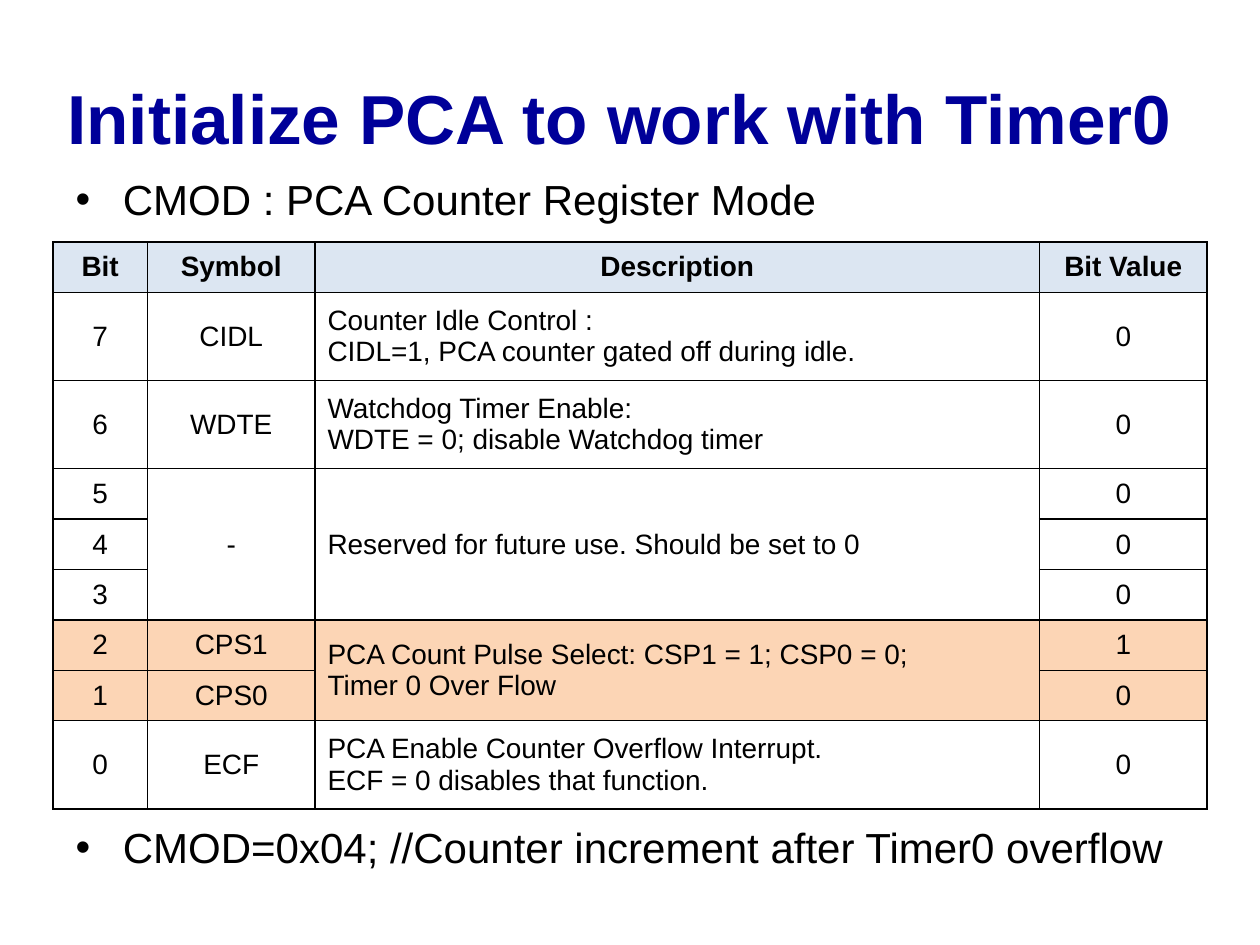
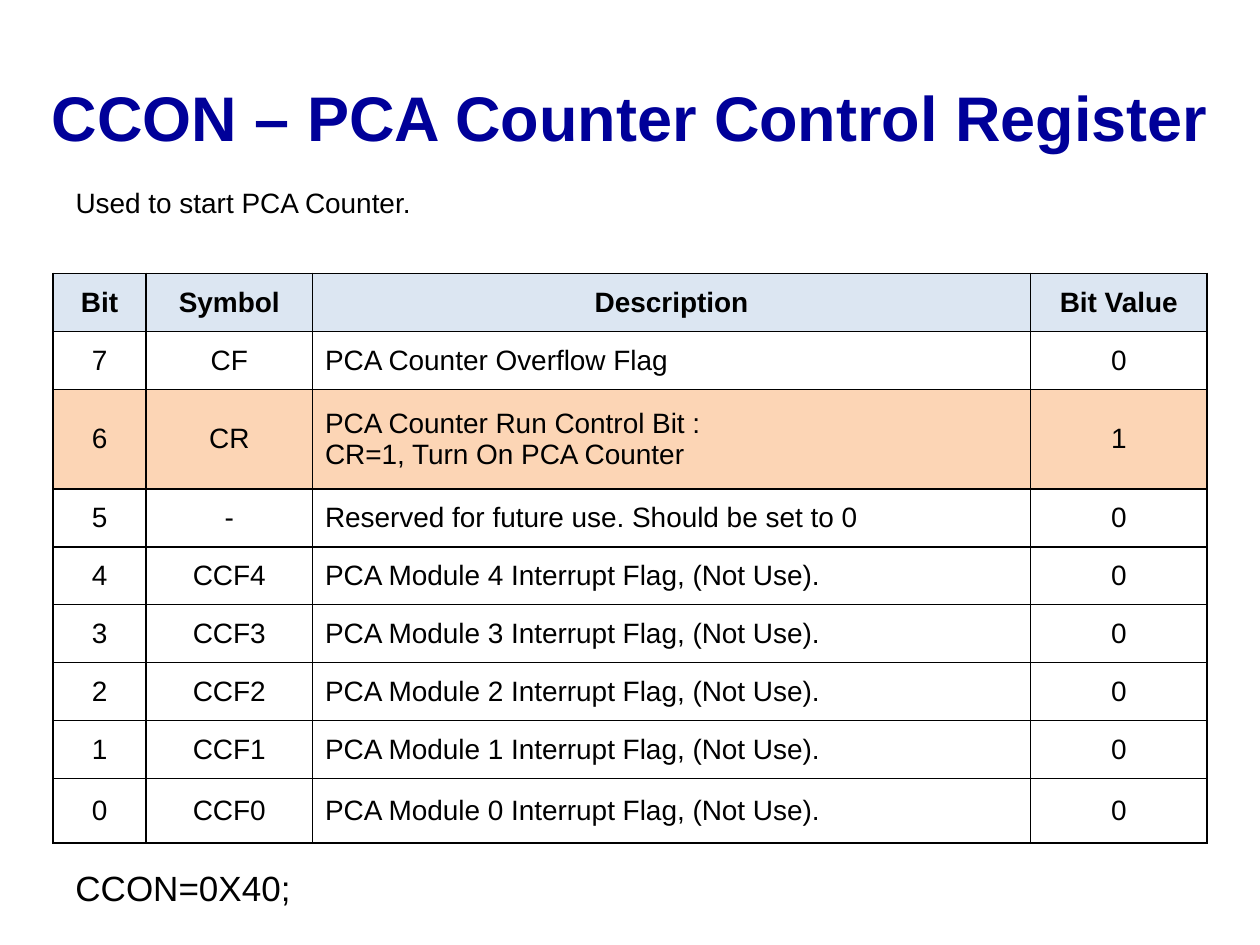
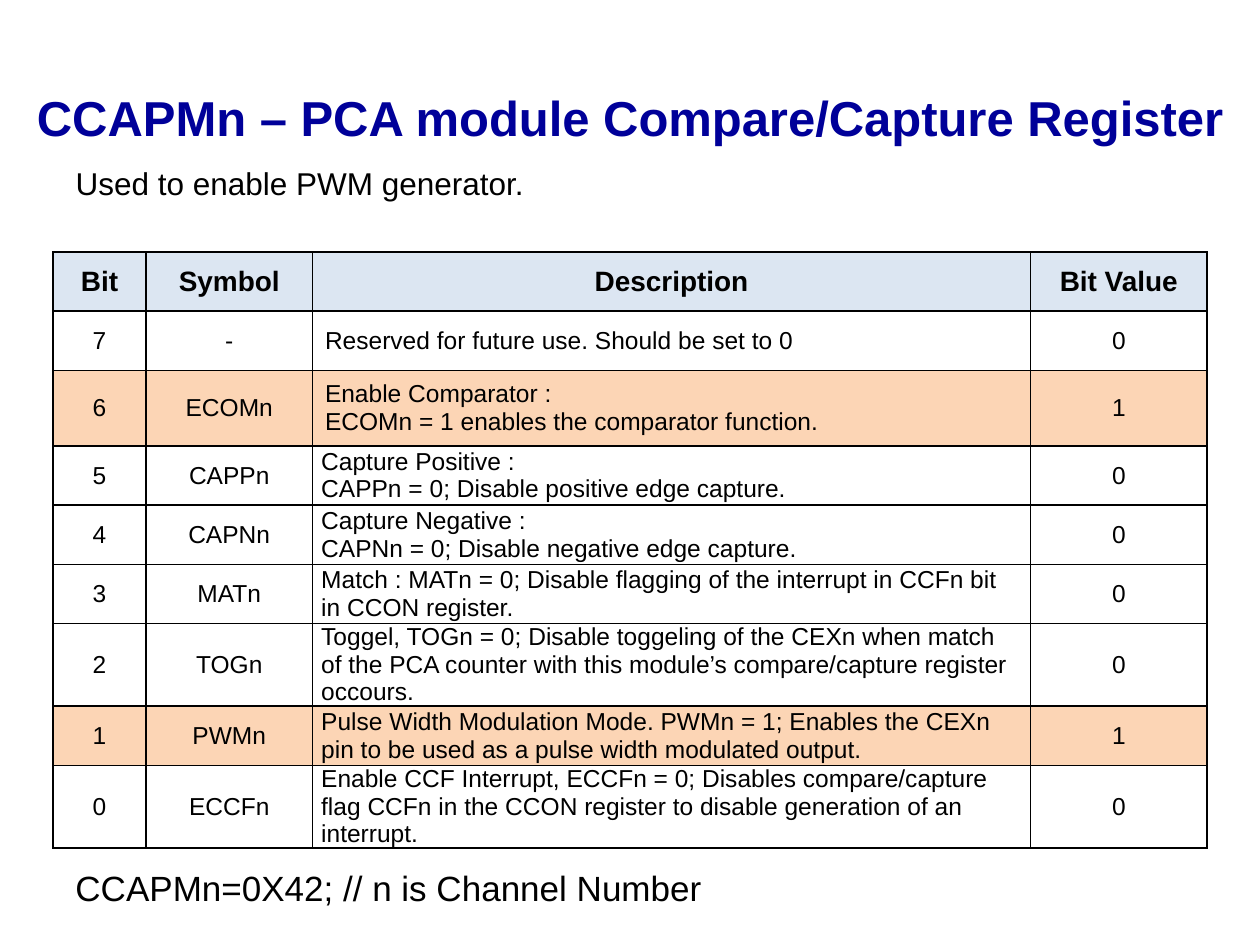
import dataclasses

import pptx
import pptx.dml.color
import pptx.enum.text
import pptx.oxml.ns
import pptx.util
from lxml import etree

Inches = pptx.util.Inches
Pt = pptx.util.Pt
CENTER = pptx.enum.text.PP_ALIGN.CENTER
LEFT = pptx.enum.text.PP_ALIGN.LEFT
MIDDLE = pptx.enum.text.MSO_ANCHOR.MIDDLE
qn = pptx.oxml.ns.qn


@dataclasses.dataclass(frozen=True)
class Theme:
    font: str = "Arial"
    title: str = "000099"
    text: str = "000000"
    header: str = "DCE6F2"
    highlight: str = "FCD5B5"
    bullet_size: float = 24
    code_size: float = 20
    table_size: float = 16
    small_table_size: float = 14
    border_width: float = 1


THEME = Theme()
HEADINGS = ("Bit", "Symbol", "Description", "Bit Value")
RESERVED = "Reserved for future use. Should be set to 0"
TABLE_LEFT = 0.42
CONTROL_COLUMNS = (0.74, 1.32, 5.7, 1.4)

# Register rows: bit, symbol, description, value; None continues the cell above
CMOD_ROWS = [
    ("7", "CIDL", "Counter Idle Control :\nCIDL=1, PCA counter gated off during idle.", "0"),
    ("6", "WDTE", "Watchdog Timer Enable:\nWDTE = 0; disable Watchdog timer", "0"),
    ("5", "-", RESERVED, "0"),
    ("4", None, None, "0"),
    ("3", None, None, "0"),
    ("2", "CPS1", "PCA Count Pulse Select: CSP1 = 1; CSP0 = 0;\nTimer 0 Over Flow", "1"),
    ("1", "CPS0", None, "0"),
    ("0", "ECF", "PCA Enable Counter Overflow Interrupt.\nECF = 0 disables that function.", "0"),
]
CCON_ROWS = [
    ("7", "CF", "PCA Counter Overflow Flag", "0"),
    ("6", "CR", "PCA Counter Run Control Bit :\nCR=1, Turn On PCA Counter", "1"),
    ("5", "-", RESERVED, "0"),
] + [
    (str(bit), f"CCF{bit}", f"PCA Module {bit} Interrupt Flag, (Not Use).", "0")
    for bit in range(4, -1, -1)
]
CCAPM_ROWS = [
    ("7", "-", RESERVED, "0"),
    ("6", "ECOMn", "Enable Comparator :\nECOMn = 1 enables the comparator function.", "1"),
    ("5", "CAPPn", "Capture Positive :\nCAPPn = 0; Disable positive edge capture.", "0"),
    ("4", "CAPNn", "Capture Negative :\nCAPNn = 0; Disable negative edge capture.", "0"),
    ("3", "MATn", "Match : MATn = 0; Disable flagging of the interrupt in CCFn bit "
     "in CCON register.", "0"),
    ("2", "TOGn", "Toggel, TOGn = 0; Disable toggeling of the CEXn when match of the PCA "
     "counter with this module\u2019s compare/capture register occours.", "0"),
    ("1", "PWMn", "Pulse Width Modulation Mode. PWMn = 1; Enables the CEXn pin to be used "
     "as a pulse width modulated output.", "1"),
    ("0", "ECCFn", "Enable CCF Interrupt, ECCFn = 0; Disables compare/capture flag CCFn in "
     "the CCON register to disable generation of an interrupt.", "0"),
]


def rgb(value):
    return pptx.dml.color.RGBColor.from_string(value)


def place(shape, left, top, width, height):
    shape.left, shape.top = Inches(left), Inches(top)
    shape.width, shape.height = Inches(width), Inches(height)


def style_text(frame, size, color=THEME.text, bold=False, align=LEFT):
    for para in frame.paragraphs:
        para.alignment = align
        para.font.name = THEME.font
        para.font.size = Pt(size)
        para.font.bold = bold
        para.font.color.rgb = rgb(color)


def add_page(deck, title, size, left, width):
    page = deck.slides.add_slide(deck.slide_layouts[1])
    box = page.shapes.title
    place(box, left, 0.3, width, 1.25)
    box.text_frame.text = title
    box.text_frame.auto_size = pptx.enum.text.MSO_AUTO_SIZE.NONE
    style_text(box.text_frame, size, THEME.title, True, CENTER)
    return page


def fill_body(page, text, size, top, width, height):
    box = page.placeholders[1]
    place(box, 0.5, top, width, height)
    box.text_frame.text = text
    box.text_frame.auto_size = pptx.enum.text.MSO_AUTO_SIZE.NONE
    style_text(box.text_frame, size)
    return box.text_frame.paragraphs


def add_intro(page, text, size, top):
    para = fill_body(page, text, size, top, 9.08, 0.92)[0]
    properties = para._p.get_or_add_pPr()
    properties.set("marL", "0")
    properties.set("indent", "0")
    etree.SubElement(properties, qn("a:buNone")) if properties.find(qn("a:defRPr")) is None \
        else properties.find(qn("a:defRPr")).addprevious(etree.Element(qn("a:buNone")))


def add_code_line(page, text):
    box = page.shapes.add_textbox(Inches(0.5), Inches(6.83), Inches(9.08), Inches(0.46))
    frame = box.text_frame
    frame.word_wrap = True
    frame.text = text
    frame.paragraphs[0].space_before = Pt(2.4)
    style_text(frame, THEME.code_size)


def add_borders(cell):
    properties = cell._tc.get_or_add_tcPr()
    for index, side in enumerate(("a:lnL", "a:lnR", "a:lnT", "a:lnB")):
        line = etree.Element(qn(side), w=str(Pt(THEME.border_width)))
        fill = etree.SubElement(line, qn("a:solidFill"))
        etree.SubElement(fill, qn("a:srgbClr"), val=THEME.text)
        properties.insert(index, line)


def add_register_table(page, top, height, columns, row_heights, rows, highlighted,
                       size=THEME.table_size, tight_from=None):
    """Draw a register; highlighted holds bits, tight_from the first row with slim margins."""
    frame = page.shapes.add_table(len(rows) + 1, len(columns), Inches(TABLE_LEFT),
                                  Inches(top), Inches(sum(columns)), Inches(height))
    table = frame.table
    table.first_row = table.horz_banding = False
    for column, width in zip(table.columns, columns):
        column.width = Inches(width)
    for row, row_height in zip(table.rows, row_heights):
        row.height = Inches(row_height)
    frame.height = Inches(height)

    starts = {}
    for r, values in enumerate([HEADINGS] + rows):
        header = r == 0
        for c, value in enumerate(values):
            cell = table.cell(r, c)
            add_borders(cell)
            if header or values[0] in highlighted:
                cell.fill.solid()
                cell.fill.fore_color.rgb = rgb(THEME.header if header else THEME.highlight)
            else:
                cell.fill.background()
            if value is None:
                continue
            starts[r, c] = cell
            cell.text_frame.text = value
            cell.vertical_anchor = MIDDLE
            style_text(cell.text_frame, THEME.table_size if header else size, bold=header,
                       align=LEFT if c == 2 and not header else CENTER)
            if tight_from is not None and r >= tight_from and c >= 2:
                cell.margin_left = cell.margin_right = Inches(0.07)
                cell.margin_top = cell.margin_bottom = 0

    # Join each cell with the continuation cells under it
    for (r, c), cell in starts.items():
        last = r
        while last < len(rows) and (last + 1, c) not in starts:
            last += 1
        if last > r:
            cell.merge(table.cell(last, c))


def add_mode_page(deck):
    page = add_page(deck, "Initialize PCA to work with Timer0", 39.6, 0.17, 9.5)
    bullets = fill_body(page, "CMOD : PCA Counter Register Mode\n"
                        "CMOD=0x04; //Counter increment after Timer0 overflow",
                        THEME.bullet_size, 1.33, 9, 5.94)
    bullets[1].space_before = Pt(341.5)  # leaves room for the table
    add_register_table(page, 1.92, 4.5, (0.75, 1.33, 5.75, 1.33),
                       [0.4, 0.7, 0.7] + [0.4] * 5 + [0.7], CMOD_ROWS, ("2", "1"))


def add_control_page(deck):
    page = add_page(deck, "CCON \u2013 PCA Counter Control Register", 36, 0.25, 9.5)
    add_intro(page, "Used to start PCA Counter.", 16, 1.42)
    add_register_table(page, 2.17, 4.5, CONTROL_COLUMNS,
                       [0.46, 0.46, 0.79] + [0.46] * 5 + [0.51], CCON_ROWS, ("6",))
    add_code_line(page, "CCON=0X40;")


def add_compare_page(deck):
    page = add_page(deck, "CCAPMn \u2013 PCA module Compare/Capture Register", 28, 0, 10)
    add_intro(page, "Used to enable PWM generator.", 18, 1.25)
    add_register_table(page, 2, 4.8, CONTROL_COLUMNS, [0.47, 0.47, 0.6] + [0.47] * 6,
                       CCAPM_ROWS, ("6", "1"), THEME.small_table_size, tight_from=3)
    add_code_line(page, "CCAPMn=0X42; // n is Channel Number")


def main():
    deck = pptx.Presentation()
    deck.slide_width, deck.slide_height = Inches(10), Inches(7.5)
    add_mode_page(deck)
    add_control_page(deck)
    add_compare_page(deck)
    deck.save("out.pptx")


main()
